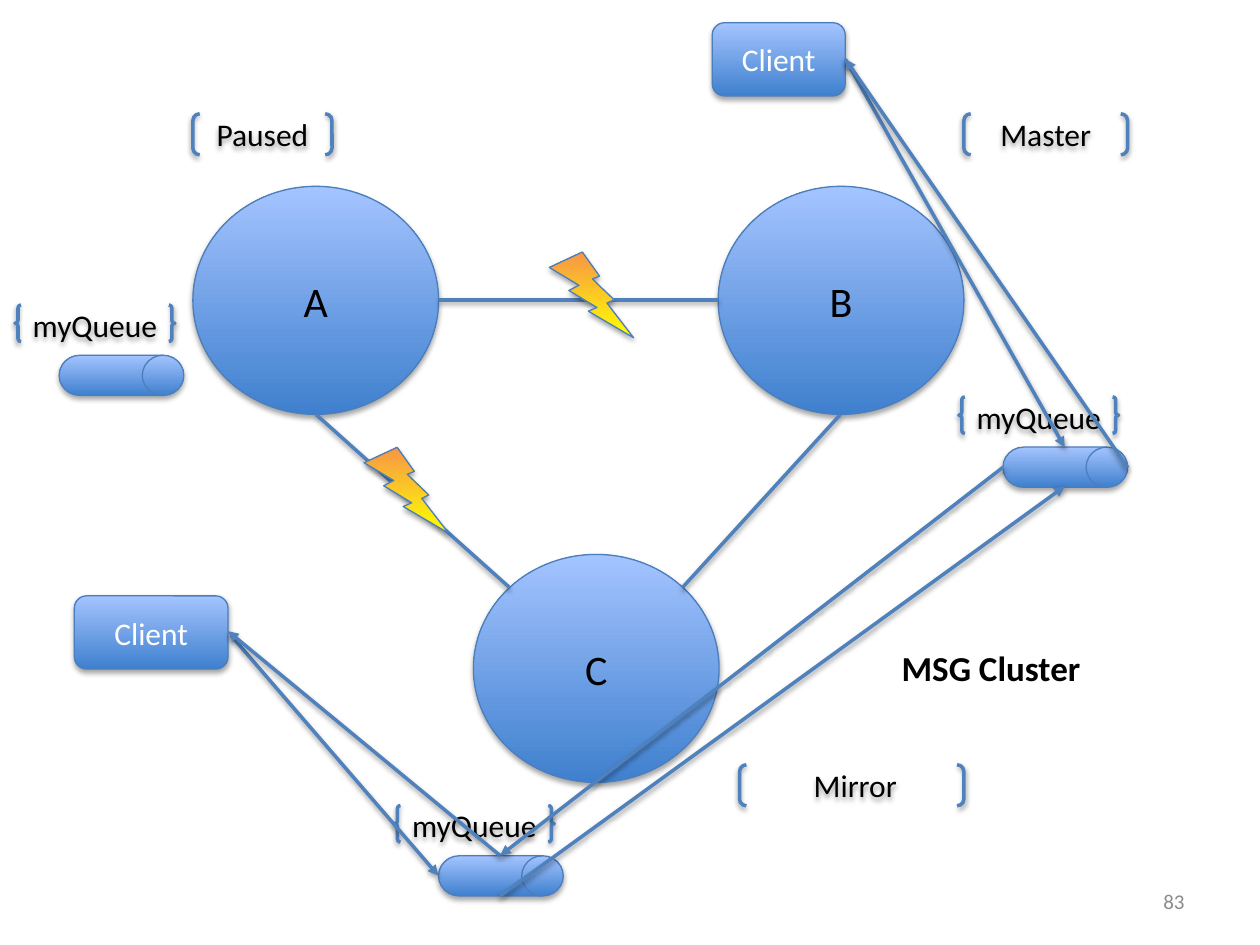
"""Build the slide of a partitioned three-node cluster with mirrored queues."""
from pptx import Presentation
from pptx.dml.color import RGBColor
from pptx.enum.shapes import MSO_CONNECTOR, MSO_SHAPE
from pptx.enum.text import MSO_ANCHOR, PP_ALIGN
from pptx.oxml import parse_xml
from pptx.oxml.ns import nsdecls
from pptx.util import Pt


def rgb(value):
    return RGBColor.from_string(value)


def style(s, fmt):
    s.line.color.rgb = rgb(fmt["line"])
    s.line.width = Pt(fmt["width"])
    blur, dist = Pt(3.1), Pt(fmt["dist"])
    s._element.spPr.append(parse_xml(
        f'<a:effectLst {nsdecls("a")}><a:outerShdw blurRad="{blur}" dist="{dist}" '
        f'dir="5400000" rotWithShape="0"><a:srgbClr val="000000">'
        f'<a:alpha val="{fmt["alpha"]}000"/></a:srgbClr></a:outerShdw></a:effectLst>'))


SOLID = {"line": "4B7EBC", "width": 0.75, "dist": 1.8, "alpha": 35}
OUTLINE = {"line": "4F81BD", "width": 2, "dist": 1.6, "alpha": 38}
BLUE = ("3F80CE", "A4C4FF")
FLAME = ("FFFF00", "F79646")

prs = Presentation()
prs.slide_width, prs.slide_height = Pt(720), Pt(540)
slide = prs.slides.add_slide(prs.slide_layouts[6])

nodes = [(MSO_SHAPE.OVAL, (x, y, 140.4, 130.3), BLUE, name, 24, "000000")
         for name, x, y in (("A", 110.2, 106.5), ("B", 410.4, 106.5), ("C", 270.5, 316.8))]
states = [(MSO_SHAPE.DOUBLE_BRACKET, (x, y, w, 23.5), None, name, 18, "000000")
          for name, x, y, w in (("Paused", 110.2, 65, 79.5), ("Master", 550.8, 65, 93.6),
                                (" Mirror", 422.6, 437, 128.2))]
clients = [(MSO_SHAPE.ROUNDED_RECTANGLE, (x, y, w, 41.8), BLUE, "Client", 18, "FFFFFF")
           for x, y, w in ((42.5, 340.5, 87.8), (407, 13, 76))]
queues = []
for x, y in ((33.8, 203), (250.6, 489), (573.1, 255.5)):
    queues.append((MSO_SHAPE.FLOWCHART_DIRECT_ACCESS_STORAGE,
                   (x, y, 71.3, 23), BLUE, "", 18, "000000"))
    queues.append((MSO_SHAPE.DOUBLE_BRACE,
                   (x - 25.2, y - 28.7, 91.4, 20.9), None, "myQueue", 18, "000000"))
bolts = [(MSO_SHAPE.LIGHTNING_BOLT, (x, y, 48.2, 49), FLAME, "", 18, "000000")
         for x, y in ((208.1, 255.6), (313.9, 144))]
links = [
    ((250.6, 171.4), (410.4, 171.4), False),
    ((180.7, 236.9), (290.9, 335.5), False),
    ((390.2, 335.5), (480.2, 236.9), False),
    ((483.1, 33.8), (608.4, 255.6), True),
    ((644.4, 267.1), (483.1, 33.8), True),
    ((131.8, 362.9), (250.6, 500.4), True),
    ((285.8, 488.9), (130.3, 360.7), True),
    ((285.8, 511.9), (608.4, 277.9), True),
    ((573.1, 267.1), (285.8, 488.9), True),
]

for kind, box, colors, text, size, color in nodes + states + clients + queues:
    s = slide.shapes.add_shape(kind, *map(Pt, box))
    if colors:
        s.fill.gradient()
        s.fill.gradient_angle = 90
        for stop, value in zip(s.fill.gradient_stops, colors):
            stop.color.rgb = rgb(value)
    else:
        s.fill.background()
    style(s, SOLID if colors else OUTLINE)
    if text:
        tf = s.text_frame
        for key, value in {"margin_left": 0, "margin_right": 0, "margin_top": 0,
                           "margin_bottom": 0, "word_wrap": False,
                           "vertical_anchor": MSO_ANCHOR.MIDDLE}.items():
            setattr(tf, key, value)
        p = tf.paragraphs[0]
        p.alignment = PP_ALIGN.CENTER
        r = p.add_run()
        r.text = text
        r.font.name, r.font.size = "Calibri", Pt(size)
        r.font.color.rgb = rgb(color)

for start, end, arrow in links:
    s = slide.shapes.add_connector(MSO_CONNECTOR.STRAIGHT, *map(Pt, start + end))
    style(s, OUTLINE)
    if arrow:
        s.line._get_or_add_ln().append(
            parse_xml(f'<a:tailEnd {nsdecls("a")} type="triangle"/>'))

for kind, box, colors, *_ in bolts:
    s = slide.shapes.add_shape(kind, *map(Pt, box))
    s.fill.gradient()
    s.fill.gradient_angle = 90
    for stop, value in zip(s.fill.gradient_stops, colors):
        stop.color.rgb = rgb(value)
    style(s, SOLID)

labels = [
    ("MSG Cluster", (488.9, 365.8, 154.8, 31.7), PP_ALIGN.CENTER, MSO_ANCHOR.TOP,
     {"size": Pt(20), "bold": True}, "000000"),
    ("83", (516, 500.5, 168, 28.8), PP_ALIGN.RIGHT, MSO_ANCHOR.MIDDLE,
     {"size": Pt(12), "bold": False}, "8C8C8C"),
]
for text, box, align, anchor, font, color in labels:
    tf = slide.shapes.add_textbox(*map(Pt, box)).text_frame
    tf.word_wrap, tf.vertical_anchor = True, anchor
    p = tf.paragraphs[0]
    p.alignment = align
    r = p.add_run()
    r.text = text
    r.font.name = "Calibri"
    r.font.color.rgb = rgb(color)
    for key, value in font.items():
        setattr(r.font, key, value)

prs.save("out.pptx")
